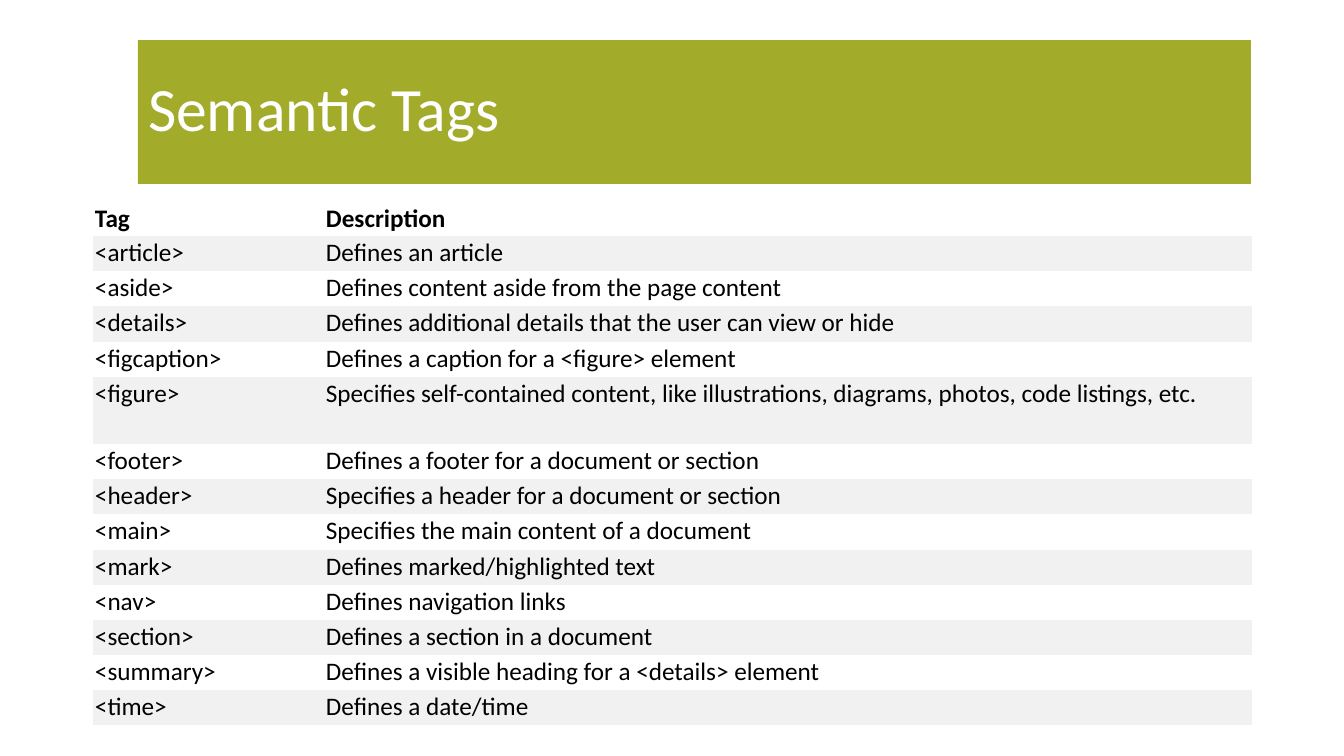
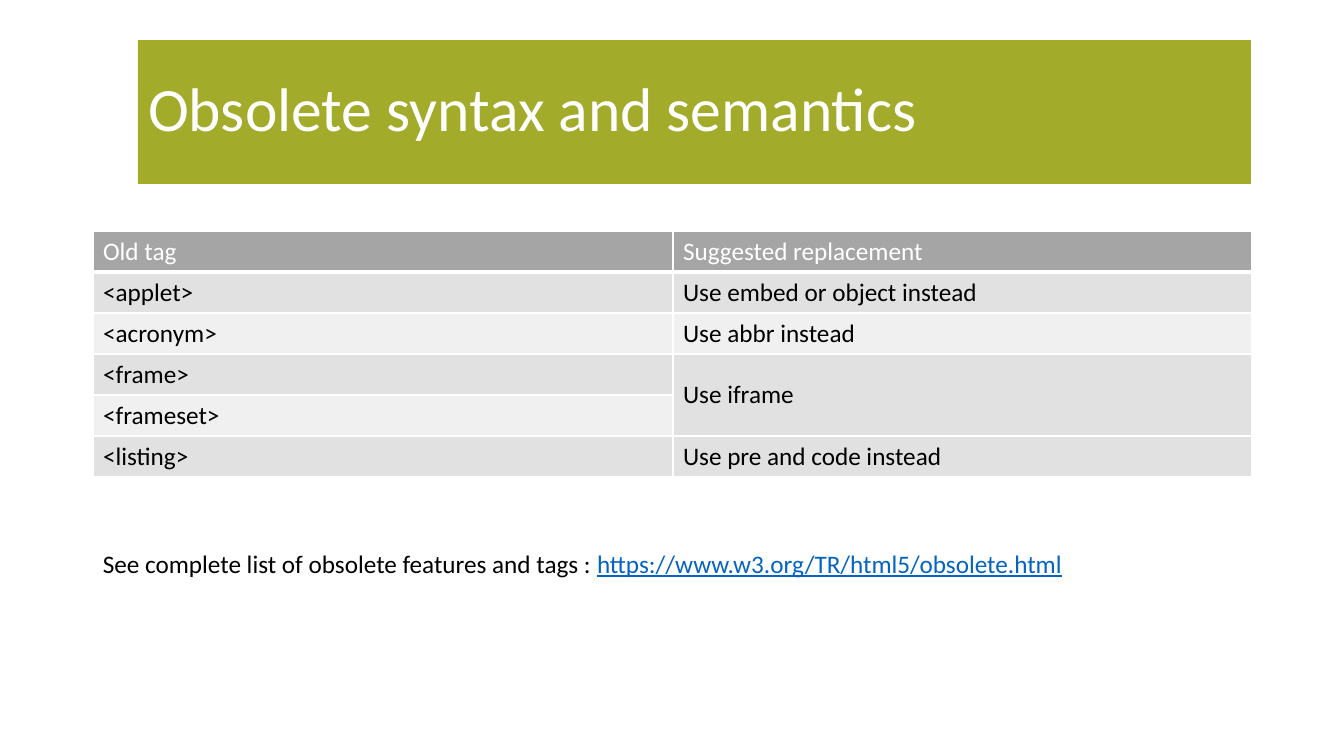
import pptx
import pptx.util
import pptx.dml.color
import pptx.enum.text
import lxml.etree
from dataclasses import dataclass

PX = 9071
A = "http://schemas.openxmlformats.org/drawingml/2006/main"
NO_STYLE = "{2D5ABB26-0587-4C30-8999-92F81FD0307C}"


@dataclass(frozen=True)
class Theme:
    font: str = "Calibri"
    title_size: int = 44
    text_size: int = 18
    band: str = "A3AB2B"
    white: str = "FFFFFF"
    black: str = "000000"
    link: str = "0563C1"
    header: str = "A5A5A5"
    stripe: str = "F1F1F1"
    dark_row: str = "E1E1E1"
    light_row: str = "F0F0F0"


T = Theme()
MIDDLE = pptx.enum.text.MSO_ANCHOR.MIDDLE


def rgb(value):
    return pptx.dml.color.RGBColor.from_string(value)


def write(p, text, size=T.text_size, color=T.black, bold=False, underline=False):
    r = p.add_run()
    r.text = text
    r.font.name = T.font
    r.font.size = pptx.util.Pt(size)
    r.font.color.rgb = rgb(color)
    r.font.bold = bold
    r.font.underline = underline


semantic_rows = [
    ("Tag", "Description"),
    ("<article>", "Defines an article"),
    ("<aside>", "Defines content aside from the page content"),
    ("<details>", "Defines additional details that the user can view or hide"),
    ("<figcaption>", "Defines a caption for a <figure> element"),
    ("<figure>", "Specifies self-contained content, like illustrations, "
                 "diagrams, photos, code listings, etc."),
    ("<footer>", "Defines a footer for a document or section"),
    ("<header>", "Specifies a header for a document or section"),
    ("<main>", "Specifies the main content of a document"),
    ("<mark>", "Defines marked/highlighted text"),
    ("<nav>", "Defines navigation links"),
    ("<section>", "Defines a section in a document"),
    ("<summary>", "Defines a visible heading for a <details> element"),
    ("<time>", "Defines a date/time"),
]
obsolete_rows = [
    ("Old tag", "Suggested replacement"),
    ("<applet>", "Use embed or object instead"),
    ("<acronym>", "Use abbr instead"),
    ("<frame>", "Use iframe"),
    ("<frameset>", ""),
    ("<listing>", "Use pre and code instead"),
]
pages = [
    dict(title="Semantic Tags", rows=semantic_rows, top=201, cols=(231, 928),
         height=35, special={3: 36, 5: 67, 8: 36}, inset=2, lines=False,
         header=dict(bold=True), header_fill=T.white, fills=(T.white, T.stripe)),
    dict(title="Obsolete syntax and semantics", rows=obsolete_rows, top=231,
         cols=(580, 579), height=41, special={}, inset=None, lines=True,
         header=dict(color=T.white), header_fill=T.header,
         fills=(T.light_row, T.dark_row)),
]

prs = pptx.Presentation()
prs.slide_width, prs.slide_height = 1344 * PX, 756 * PX
tables = []

for page in pages:
    s = prs.slides.add_slide(prs.slide_layouts[5])
    title = s.shapes.title
    title.left, title.top = 138 * PX, 40 * PX
    title.width, title.height = 1113 * PX, 144 * PX
    title.fill.solid()
    title.fill.fore_color.rgb = rgb(T.band)
    tf = title.text_frame
    tf.auto_size = pptx.enum.text.MSO_AUTO_SIZE.NONE
    tf.vertical_anchor = MIDDLE
    p = tf.paragraphs[0]
    p.alignment = pptx.enum.text.PP_ALIGN.LEFT
    p.line_spacing = 0.9
    write(p, page["title"], size=T.title_size, color=T.white)

    rows = page["rows"]
    heights = [page["special"].get(i, page["height"]) for i in range(len(rows))]
    frame = s.shapes.add_table(len(rows), 2, 93 * PX, page["top"] * PX,
                               sum(page["cols"]) * PX, sum(heights) * PX)
    table = frame.table
    table._tbl.tblPr.find(f"{{{A}}}tableStyleId").text = NO_STYLE
    tables.append(table)
    for column, width in zip(table.columns, page["cols"]):
        column.width = width * PX

    for i, texts in enumerate(rows):
        table.rows[i].height = heights[i] * PX
        for j, text in enumerate(texts):
            cell = table.cell(i, j)
            cell.fill.solid()
            cell.fill.fore_color.rgb = rgb(page["fills"][i % 2] if i else page["header_fill"])
            if page["inset"]:
                cell.margin_left = cell.margin_right = page["inset"] * PX
                cell.margin_top = cell.margin_bottom = page["inset"] * PX
            if text:
                write(cell.text_frame.paragraphs[0], text, **({} if i else page["header"]))
            if page["lines"]:
                thick = {0: "lnB", 1: "lnT"}.get(i)
                for k, side in enumerate(("lnL", "lnR", "lnT", "lnB")):
                    width = pptx.util.Pt(3 if side == thick else 1)
                    ln = lxml.etree.Element(f"{{{A}}}{side}", w=str(width))
                    fill = lxml.etree.SubElement(ln, f"{{{A}}}solidFill")
                    lxml.etree.SubElement(fill, f"{{{A}}}srgbClr", val=T.white)
                    cell._tc.get_or_add_tcPr().insert(k, ln)

iframe = tables[1].cell(3, 1)
iframe.merge(tables[1].cell(4, 1))
iframe.vertical_anchor = MIDDLE

note = s.shapes.add_textbox(93 * PX, 543 * PX, 1154 * PX, 41 * PX)
tf = note.text_frame
tf.word_wrap = True
p = tf.paragraphs[0]
write(p, "See complete list of obsolete features and tags : ")
write(p, "https://www.w3.org/TR/html5/obsolete.html", color=T.link, underline=True)

prs.save("out.pptx")
